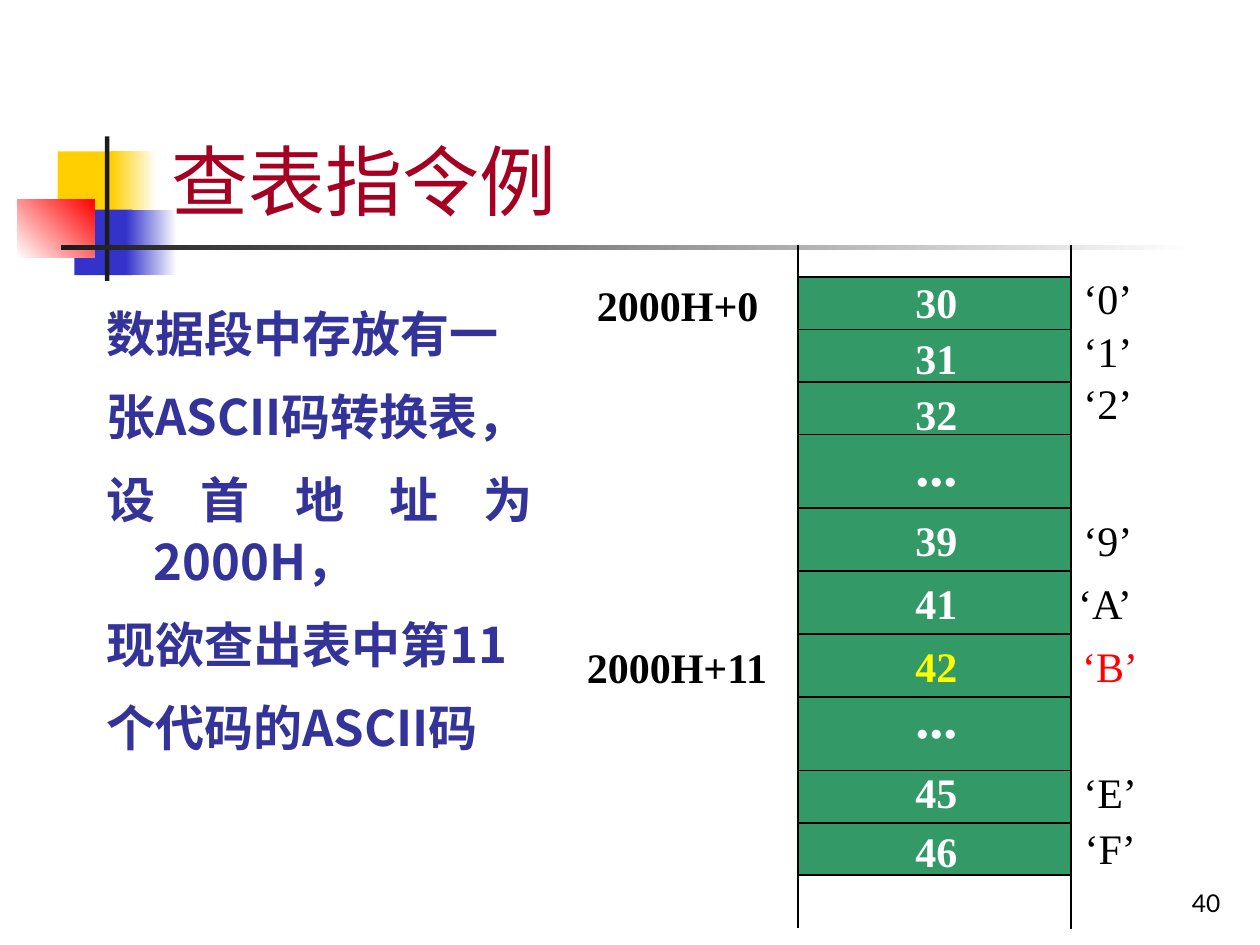
"""Build the slide on a table lookup of ASCII codes."""
from lxml import etree
from pptx import Presentation
from pptx.dml.color import RGBColor
from pptx.enum.shapes import MSO_CONNECTOR, MSO_SHAPE
from pptx.enum.text import MSO_ANCHOR, MSO_AUTO_SIZE, PP_ALIGN
from pptx.oxml.ns import qn
from pptx.util import Pt

RECT, LINE = MSO_SHAPE.RECTANGLE, MSO_CONNECTOR.STRAIGHT
BOTTOM, GROW, NONE = MSO_ANCHOR.BOTTOM, MSO_AUTO_SIZE.SHAPE_TO_FIT_TEXT, MSO_AUTO_SIZE.NONE
RIGHT, LEFT, JUSTIFY = PP_ALIGN.RIGHT, PP_ALIGN.LEFT, PP_ALIGN.JUSTIFY
BLACK, WHITE = RGBColor(0, 0, 0), RGBColor(255, 255, 255)
GOLD, BLUE = RGBColor(0xFF, 0xCF, 0x01), RGBColor(0x33, 0x33, 0xCC)
RED, DARK = RGBColor(255, 0, 0), RGBColor(0x1C, 0x1C, 0x1C)
GREEN, YELLOW = RGBColor(0x33, 0x99, 0x66), RGBColor(255, 255, 0)
WINE, NAVY = RGBColor(0xA5, 0, 0x21), RGBColor(0x33, 0x33, 0x99)
SERIF, SANS, HAN = "Times New Roman", "Lato", "Noto Sans CJK SC"

deck = Presentation()
deck.slide_width, deck.slide_height = Pt(720), Pt(540)
slide = deck.slides.add_slide(deck.slide_layouts[1])
shapes = slide.shapes


def write(para, text, size, color, bold=False, face=SERIF):
    run = para.add_run()
    run.text = text
    for key, value in {"size": Pt(size), "bold": bold, "name": face}.items():
        setattr(run.font, key, value)
    run.font.color.rgb = color
    etree.SubElement(run.font._element, qn("a:ea")).set("typeface", HAN)


def label(text, left, top, width, color=BLACK, size=24, bold=False):
    box = shapes.add_textbox(Pt(left), Pt(top), Pt(width), Pt(46 if size > 24 else 36))
    box.text_frame.word_wrap = True
    box.text_frame.auto_size = GROW
    write(box.text_frame.paragraphs[0], text, size, color, bold)


ORNAMENTS = [
    (33, 86.5, 34.5, 37.5, GOLD, None, 0),
    (63.5, 86.5, 26, 37.5, GOLD, WHITE, 0),
    (42.5, 119.75, 33, 37.5, BLUE, None, 0),
    (72, 119.75, 29, 37.5, BLUE, WHITE, 0),
    (10, 113.75, 44, 33.5, WHITE, RED, 45),
    (60, 78, 2.5, 82.5, DARK, None, 0),
    (34.75, 140.25, 648, 2.5, DARK, WHITE, 0),
]
BLOCKS = [(456, 158.25, 156, 132, GREEN, None, 0), (456, 290.25, 156, 210, GREEN, None, 0)]
for left, top, width, height, first, last, angle in ORNAMENTS + BLOCKS:
    part = shapes.add_shape(RECT, Pt(left), Pt(top), Pt(width), Pt(height))
    part.shadow.inherit = False
    if last is None:
        part.fill.solid()
        part.fill.fore_color.rgb = first
    else:
        part.fill.gradient()
        part.fill.gradient_angle = angle
        for stop, color, place in zip(part.fill.gradient_stops, (first, last), (0, 1)):
            stop.color.rgb, stop.position = color, place
    if first == GREEN:
        part.line.color.rgb, part.line.width = BLACK, Pt(1)
    else:
        part.line.fill.background()

title, body = shapes.title, slide.placeholders[1]
number = shapes.add_textbox(Pt(554.5), Pt(492), Pt(150), Pt(36))
frames = [(title, 91, 17, 613, 115.5), (body, 53.75, 168, 258, 283.5)]
for holder, left, top, width, height in frames:
    places = {"left": left, "top": top, "width": width, "height": height}
    for key, value in places.items():
        setattr(holder, key, Pt(value))
    holder.text_frame.auto_size = NONE
    shapes._spTree.append(holder._element)

for box, text, size, color, align in (
    (title, "查表指令例", 44, WINE, LEFT),
    (number, "40", 14, BLACK, RIGHT),
):
    box.text_frame.word_wrap = True
    box.text_frame.vertical_anchor = BOTTOM
    para = box.text_frame.paragraphs[0]
    para.alignment = align
    write(para, text, size, color, face=SANS)

LINES = [
    "数据段中存放有一",
    "张ASCII码转换表，",
    "设首地址为2000H，",
    "现欲查出表中第11",
    "个代码的ASCII码",
]
for index, text in enumerate(LINES):
    para = body.text_frame.add_paragraph() if index else body.text_frame.paragraphs[0]
    props = para._p.get_or_add_pPr()
    for key, value in {"marL": Pt(27), "indent": Pt(-27), "hangingPunct": 0}.items():
        props.set(key, str(value))
    etree.SubElement(props, qn("a:buNone"))
    form = {
        "alignment": JUSTIFY,
        "line_spacing": 1.05,
        "space_before": Pt(7 if index else 0),
        "space_after": Pt(5.2),
    }
    for key, value in form.items():
        setattr(para, key, value)
    write(para, text, 28, NAVY, True, HAN)

ROWS = [
    (30, "30", 154.25, "‘0’", 612, 152),
    (30, "31", 186.5, "‘1’", 612, 182.25),
    (30, "32", 218.25, "‘2’", 612, 212.25),
    (42, "...", 242.25, None, 0, 0),
    (36, "39", 290.25, "‘9’", 612, 290.25),
    (36, "41", 326.25, "‘A’", 609, 326.25),
    (36, "42", 362.25, "‘B’", 611.25, 362.25),
    (42, "...", 386.25, None, 0, 0),
    (30, "45", 434.25, "‘E’", 612, 434.25),
    (30, "46", 468, "‘F’", 612.75, 466.25),
]
edges = [(456, 434.25, 456, 530.25), (612, 410.25, 612, 531)]
edges += [(side, 158.25, side, 140.25) for side in (456, 612)]
level = 158.25
for height, code, top, mark, left, rise in ROWS:
    level += height
    if level != 290.25:
        edges.append((456, level, 612, level))
    found = code == "42"
    size = 32 if code == "..." else 24
    label(code, 516, top, 96, YELLOW if found else WHITE, size, True)
    if mark:
        label(mark, left, rise, 56, RED if found else BLACK)

for ends in edges:
    edge = shapes.add_connector(LINE, *map(Pt, ends))
    edge.line.color.rgb, edge.line.width = BLACK, Pt(1)
    etree.SubElement(edge._element.spPr, qn("a:effectLst"))

label("2000H+0", 334, 156.25, 117, bold=True)
label("2000H+11", 328.25, 363, 128, bold=True)
deck.save("out.pptx")
